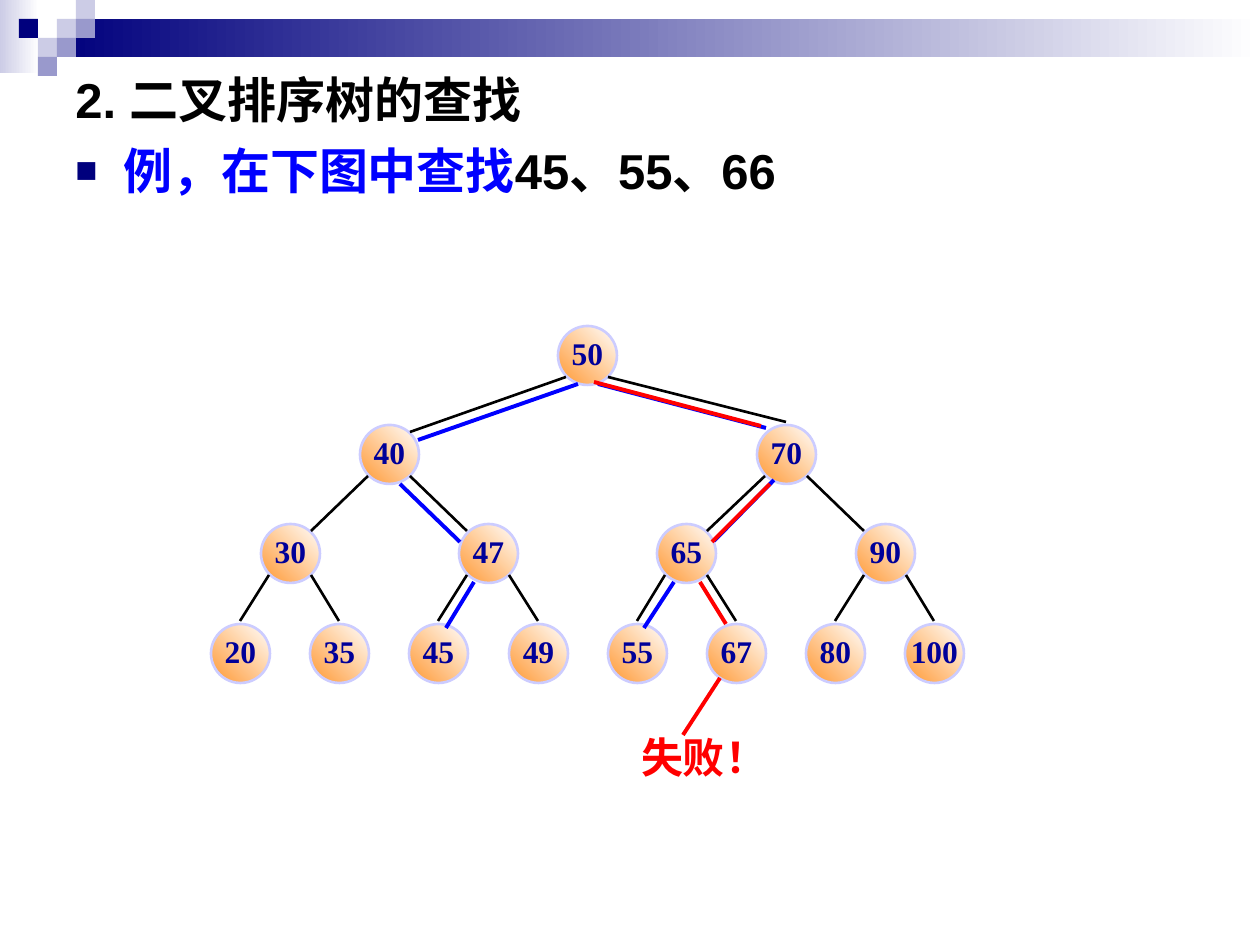
from lxml import etree
from pptx import Presentation
from pptx import util as u
from pptx.dml.color import RGBColor
from pptx.enum import shapes, text
from pptx.oxml import ns

PX = 914400 // 126
HUES = {
    "white": "FFFFFF", "black": "000000", "navy": "00007D", "ink": "000099",
    "pale": "CCCCE6", "mid": "9999CC", "rim": "CCCCFF", "amber": "FF9933",
    "blue": "0000FF", "red": "FF0000",
}
STEP = 19            # side of a corner square
GAP = 99.2           # pitch of the tree, across and down
LEFT, TOP = 240, 355  # first leaf's x, root's y
SIZE = 59            # node width

TREE = [
    ["50"],
    ["40", "70"],
    ["30", "47", "65", "90"],
    ["20", "35", "45", "49", "55", "67", "80", "100"],
]
TRAILS = {
    "blue": [
        (578, 384, 418, 440), (460, 542, 400, 484), (446, 628, 474, 582),
        (598, 384, 766, 428), (774, 480, 714, 541), (674, 582, 644, 628),
    ],
    "red": [
        (594, 382, 761, 426), (770, 484, 712, 542),
        (700, 582, 726, 624), (720, 678, 683, 735),
    ],
}


def hue(name):
    return RGBColor.from_string(HUES[name])


def spot(row, col):
    """Centre of a tree node: each parent sits midway above its children."""
    span = 2 ** (len(TREE) - 1 - row)
    return (round(LEFT + GAP * (span * col + (span - 1) / 2)),
            round(TOP + GAP * row))


class Page:
    def __init__(self, slide):
        self.items = slide.shapes

    def shape(self, kind, box, fill, angle=0):
        """One colour name fills plainly; a pair makes a gradient."""
        item = self.items.add_shape(kind, *[v * PX for v in box])
        item.shadow.inherit = False
        item.line.fill.background()
        if isinstance(fill, str):
            item.fill.solid()
            item.fill.fore_color.rgb = hue(fill)
        else:
            item.fill.gradient()
            item.fill.gradient_angle = angle
            for stop, name in zip(item.fill.gradient_stops, fill):
                stop.color.rgb = hue(name)
        return item

    def rect(self, box, fill):
        self.shape(shapes.MSO_SHAPE.RECTANGLE, box, fill)

    def node(self, x, y, label):
        box = (x - SIZE // 2, y - SIZE // 2, SIZE, SIZE)
        item = self.shape(shapes.MSO_SHAPE.OVAL, box, ("amber", "white"), 45)
        item.line.color.rgb = hue("rim")
        item.line.width = u.Pt(1.5)
        frame = item.text_frame
        frame.word_wrap = False
        frame.vertical_anchor = text.MSO_ANCHOR.MIDDLE
        frame.margin_left = frame.margin_right = 0
        frame.margin_top, frame.margin_bottom = PX, 6 * PX
        para = frame.paragraphs[0]
        para.alignment = text.PP_ALIGN.CENTER
        self.words(para, [(label, "ink")], 18, "Times New Roman")

    def line(self, ends, name, width):
        item = self.items.add_connector(
            shapes.MSO_CONNECTOR.STRAIGHT, *[v * PX for v in ends])
        item.line.color.rgb = hue(name)
        item.line.width = u.Pt(width)
        etree.SubElement(item.element.spPr, ns.qn("a:effectLst"))

    def box(self, *box):
        frame = self.items.add_textbox(*[v * PX for v in box]).text_frame
        frame.word_wrap = True
        return frame

    def bullet(self, para):
        props = para._p.get_or_add_pPr()
        props.set("marL", str(48 * PX))
        props.set("indent", str(-48 * PX))
        tint = etree.SubElement(props, ns.qn("a:buClr"))
        etree.SubElement(tint, ns.qn("a:srgbClr"), val=HUES["navy"])
        etree.SubElement(props, ns.qn("a:buSzPct"), val="75000")
        etree.SubElement(props, ns.qn("a:buFont"), typeface="Arial")
        etree.SubElement(props, ns.qn("a:buChar"), char="■")

    def words(self, para, runs, size, face="Arial"):
        font = para.font
        font.size, font.name, font.bold = u.Pt(size), face, True
        if len(runs) == 1:
            font.color.rgb = hue(runs[0][1])
        for part, name in runs:
            run = para.add_run()
            run.text = part
            if len(runs) > 1:
                run.font.color.rgb = hue(name)


def main():
    deck = Presentation()
    deck.slide_width, deck.slide_height = u.Inches(10), u.Inches(7.5)
    page = Page(deck.slides.add_slide(deck.slide_layouts[6]))

    # Top band and corner squares
    page.rect((0, 0, 39, 73), ("pale", "white"))
    page.rect((3 * STEP, STEP, 1203, 2 * STEP), ("navy", "white"))
    for col, row, name in [
        (3, 1, "pale"), (4, 0, "pale"), (4, 1, "mid"), (2, 2, "pale"),
        (1, 1, "navy"), (3, 2, "mid"), (2, 3, "mid"),
    ]:
        page.rect((col * STEP, row * STEP, STEP, STEP), name)

    # Heading and example
    frame = page.box(63, 63, 1134, 882)
    page.words(frame.paragraphs[0], [("2. 二叉排序树的查找", "black")], 28)
    para = frame.add_paragraph()
    para.space_before = u.Pt(7)
    page.bullet(para)
    page.words(para, [("例，在下图中查找", "blue"),
                      ("45、55、66", "black")], 28)

    # Tree: nodes, each with the edge from its parent
    for row, keys in enumerate(TREE):
        for col, key in enumerate(keys):
            x, y = spot(row, col)
            page.node(x, y, key)
            if row == 0:
                continue
            px, py = spot(row - 1, col // 2)
            side = 1 if col % 2 else -1
            # Leaves and 70 are met at the top, the others at the shoulder
            if row == 3 or key == "70":
                end = (x, y - 32)
            else:
                end = (x - 21 * side, y - 22)
            page.line((px + 21 * side, py + 22, *end), "black", 1.5)

    # Search trails
    for name, trail in TRAILS.items():
        for ends in trail:
            page.line(ends, name, 2.25)

    # Failed search
    para = page.box(620, 725, 168, 63).paragraphs[0]
    para.alignment = text.PP_ALIGN.CENTER
    page.words(para, [("失败！", "red")], 24)

    deck.save("out.pptx")


if __name__ == "__main__":
    main()
